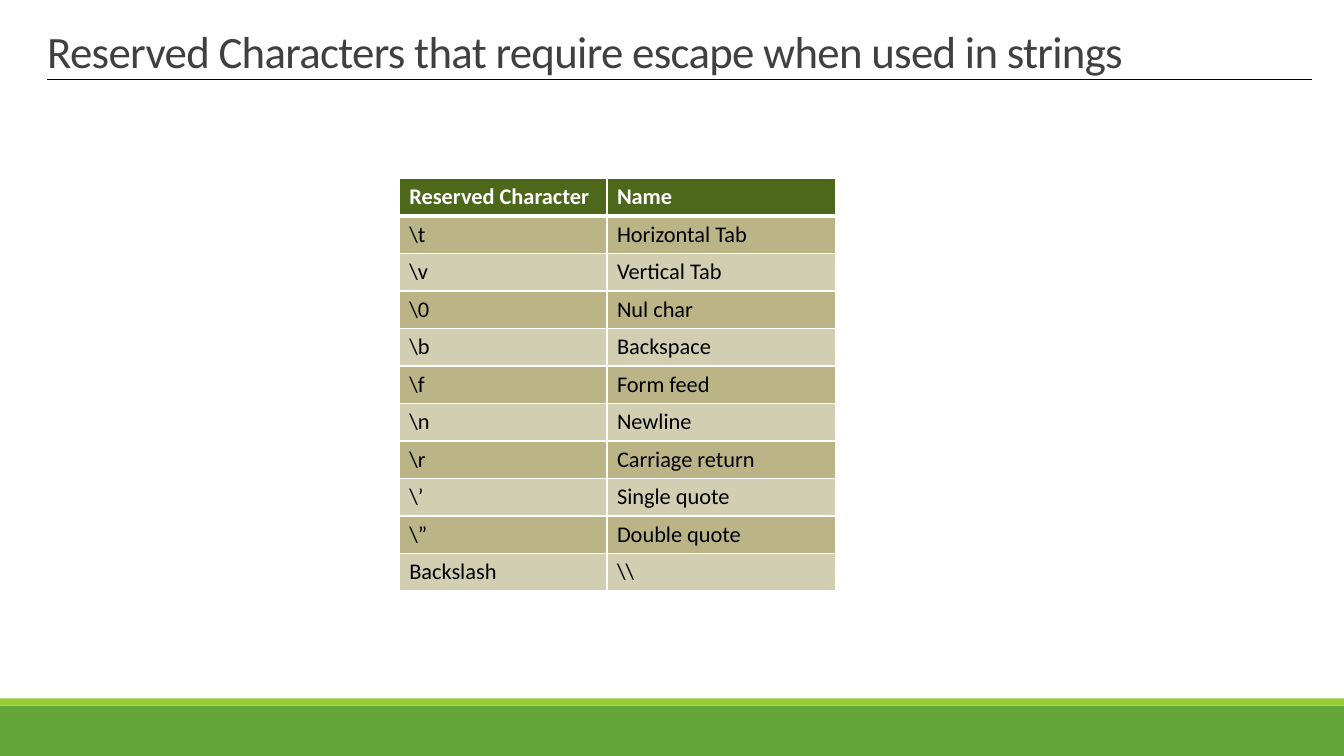
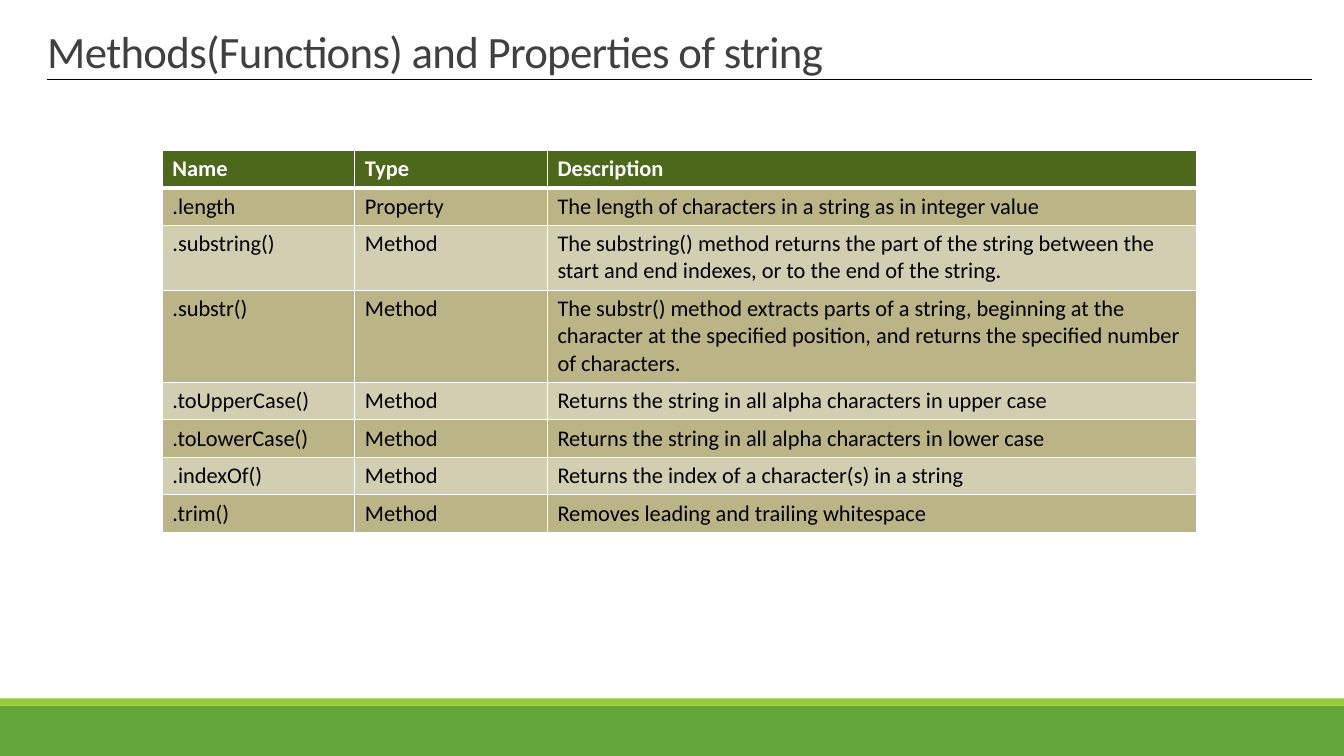
"""Build two slides on string escapes and string methods."""
import dataclasses
import math

import lxml.etree
import pptx
import pptx.dml.color
import pptx.enum.shapes
import pptx.enum.text
import pptx.oxml.ns
import pptx.util

Inches = pptx.util.Inches
Pt = pptx.util.Pt

SLIDES = [
    {
        "title": "Reserved Characters that require escape when used in strings",
        "position": (3.96, 1.77),
        "columns": (2.06, 2.27),
        "rows": [
            ("Reserved Character", "Name"),
            ("\\t", "Horizontal Tab"),
            ("\\v", "Vertical Tab"),
            ("\\0", "Nul char"),
            ("\\b", "Backspace"),
            ("\\f", "Form feed"),
            ("\\n", "Newline"),
            ("\\r", "Carriage return"),
            ("\\’", "Single quote"),
            ("\\”", "Double quote"),
            ("Backslash", "\\\\"),
        ],
    },
    {
        "title": "Methods(Functions) and Properties of string",
        "position": (1.61, 1.49),
        "columns": (1.91, 1.91, 6.44),
        "rows": [
            ("Name", "Type", "Description"),
            (".length", "Property",
             "The length of characters in a string as in integer value"),
            (".substring()", "Method",
             "The substring() method returns the part of the string between "
             "the start and end indexes, or to the end of the string."),
            (".substr()", "Method",
             "The substr() method extracts parts of a string, beginning at the "
             "character at the specified position, and returns the specified "
             "number of characters."),
            (".toUpperCase()", "Method",
             "Returns the string in all alpha characters in upper case"),
            (".toLowerCase()", "Method",
             "Returns the string in all alpha characters in lower case"),
            (".indexOf()", "Method",
             "Returns the index of a character(s) in a string"),
            (".trim()", "Method", "Removes leading and trailing whitespace"),
        ],
    },
]


@dataclasses.dataclass(frozen=True)
class Theme:
    font: str = "Calibri"
    title_size: int = 32
    table_size: int = 16
    title: str = "404040"
    text: str = "000000"
    white: str = "FFFFFF"
    header: str = "4D671B"
    stripes: tuple = ("BBB487", "D2CEB1")
    footer: str = "63A537"
    accent: str = "99CB38"
    thin: int = 1
    thick: int = 3


THEME = Theme()
SLIDE_WIDTH, SLIDE_HEIGHT = 13.33, 7.5
BANDS = [(7, 0.5, THEME.footer), (6.93, 0.07, THEME.accent)]
RULE = (0.47, 0.79, 13.01, 0.79)
TITLE_BOX = (0.37, 0.27, 11.95, 1.59)
LINE_HEIGHT, CELL_PADDING, CHARACTERS_PER_INCH = 0.27, 0.1, 10


def color(value):
    return pptx.dml.color.RGBColor.from_string(value)


def write(paragraph, text, size, text_color, bold=False):
    run = paragraph.add_run()
    run.text = text
    values = {"name": THEME.font, "size": Pt(size), "bold": bold}
    for name, value in values.items():
        setattr(run.font, name, value)
    run.font.color.rgb = color(text_color)
    return run


def add_bands(slide):
    for top, height, fill in BANDS:
        band = slide.shapes.add_shape(
            pptx.enum.shapes.MSO_SHAPE.RECTANGLE,
            0, Inches(top), Inches(SLIDE_WIDTH), Inches(height))
        band.shadow.inherit = False
        band.fill.solid()
        band.fill.fore_color.rgb = color(fill)
        band.line.fill.background()


def add_rule(slide):
    rule = slide.shapes.add_connector(
        pptx.enum.shapes.MSO_CONNECTOR.STRAIGHT, *map(Inches, RULE))
    rule.line.color.rgb = color(THEME.text)
    rule.line.width = Pt(THEME.thin)
    lxml.etree.SubElement(
        rule._element.spPr, pptx.oxml.ns.qn("a:effectLst"))


def add_title(slide, text):
    frame = slide.shapes.add_textbox(*map(Inches, TITLE_BOX)).text_frame
    values = {
        "word_wrap": True,
        "vertical_anchor": pptx.enum.text.MSO_ANCHOR.TOP,
    }
    for name, value in values.items():
        setattr(frame, name, value)
    paragraph = frame.paragraphs[0]
    paragraph.line_spacing = 0.85
    run = write(paragraph, text, THEME.title_size, THEME.title)
    run._r.get_or_add_rPr().set("spc", "-50")


def set_borders(cell, widths):
    properties = cell._tc.get_or_add_tcPr()
    for side, width in widths.items():
        line = lxml.etree.SubElement(
            properties, pptx.oxml.ns.qn(f"a:ln{side}"), w=str(Pt(width)))
        fill = lxml.etree.SubElement(line, pptx.oxml.ns.qn("a:solidFill"))
        lxml.etree.SubElement(
            fill, pptx.oxml.ns.qn("a:srgbClr"), val=THEME.white)


def row_height(row, columns):
    lines = max(math.ceil(len(text) / (width * CHARACTERS_PER_INCH))
                for text, width in zip(row, columns))
    return CELL_PADDING + LINE_HEIGHT * lines


def fill_cell(cell, text, row_index):
    is_header = row_index == 0
    set_borders(cell, {
        "L": THEME.thin,
        "R": THEME.thin,
        "T": THEME.thick if row_index == 1 else THEME.thin,
        "B": THEME.thick if is_header else THEME.thin,
    })
    cell.fill.solid()
    cell.fill.fore_color.rgb = color(
        THEME.header if is_header else THEME.stripes[(row_index - 1) % 2])
    write(cell.text_frame.paragraphs[0], text, THEME.table_size,
          THEME.white if is_header else THEME.text, is_header)


def add_table(slide, position, columns, rows):
    heights = [row_height(row, columns) for row in rows]
    box = (*position, sum(columns), sum(heights))
    table = slide.shapes.add_table(
        len(rows), len(columns), *map(Inches, box)).table
    for column, width in zip(table.columns, columns):
        column.width = Inches(width)
    for row_index, (row, height) in enumerate(zip(rows, heights)):
        table.rows[row_index].height = Inches(height)
        for column_index, text in enumerate(row):
            fill_cell(table.cell(row_index, column_index), text, row_index)


presentation = pptx.Presentation()
presentation.slide_width = Inches(SLIDE_WIDTH)
presentation.slide_height = Inches(SLIDE_HEIGHT)
for content in SLIDES:
    slide = presentation.slides.add_slide(presentation.slide_layouts[6])
    add_bands(slide)
    add_rule(slide)
    add_table(slide, content["position"], content["columns"], content["rows"])
    add_title(slide, content["title"])
presentation.save("out.pptx")
